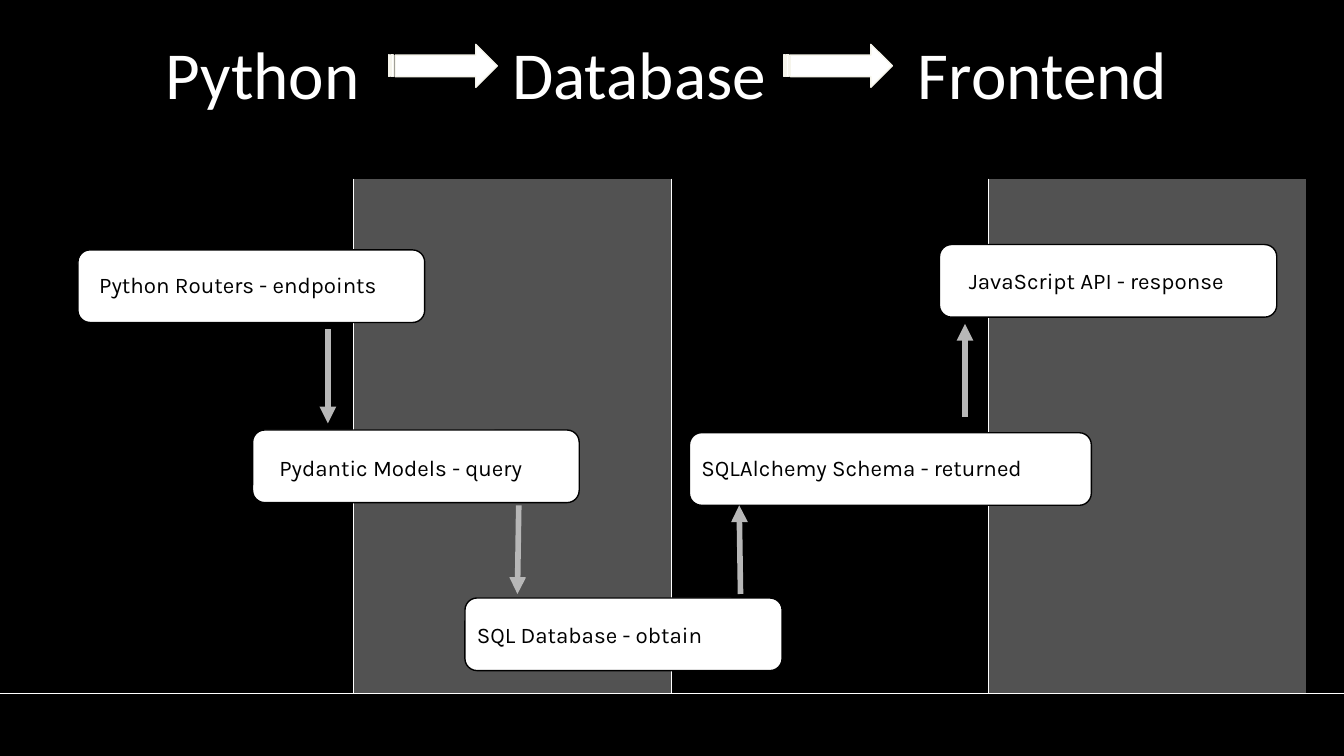
"""Build the Python to Database to Frontend data flow slide."""
from lxml import etree
from pptx import Presentation
from pptx.dml.color import RGBColor
from pptx.enum import shapes, text
from pptx.oxml.ns import qn
from pptx.util import Inches, Pt


def color(hex_value):
    return RGBColor.from_string(hex_value)


def add_line(start, end, hex_value, width):
    line = slide.shapes.add_connector(
        shapes.MSO_CONNECTOR.STRAIGHT, *map(Inches, start + end))
    line.line.color.rgb = color(hex_value)
    line.line.width = Pt(width)
    etree.SubElement(line._element.spPr, qn("a:effectLst"))
    return line


deck = Presentation()
deck.slide_width = Inches(10)
deck.slide_height = Inches(10) * 9 // 16
slide = deck.slides.add_slide(deck.slide_layouts[5])
slide.background.fill.solid()
slide.background.fill.fore_color.rgb = color("000000")

add_line((-0.01, 5.16), (10.01, 5.16), "FFFFFF", 0.75)

title = slide.shapes.title
title.left, title.top = Inches(0.14), Inches(0.14)
title.width, title.height = Inches(9.65), Inches(0.9)
title.text_frame.text = "Python\tDatabase\tFrontend"
title.text_frame.margin_left = Inches(1.09)
title.text_frame.margin_top = Inches(0.1)
title.text_frame.vertical_anchor = text.MSO_ANCHOR.TOP
heading = title.text_frame.paragraphs[0]
heading.alignment = text.PP_ALIGN.LEFT
heading.font.name, heading.font.size = "Calibri", Pt(36)
heading.font.color.rgb = color("FFFFFF")
tab_stops = etree.Element(qn("a:tabLst"))
for position in (2.58, 5.6):
    etree.SubElement(tab_stops, qn("a:tab"), pos=str(Inches(position)), algn="l")
heading._p.get_or_add_pPr().insert(0, tab_stops)

lanes = slide.shapes.add_table(
    1, 4, Inches(0.27), Inches(1.33), Inches(9.45), Inches(3.83)).table
lanes.first_row = lanes.horz_banding = False
for index, lane in enumerate(lanes.rows[0].cells):
    visible = {"lnL": index > 0, "lnR": index < 3, "lnT": False, "lnB": False}
    for side, shown in visible.items():
        border = etree.SubElement(
            lane._tc.get_or_add_tcPr(), qn(f"a:{side}"), w=str(Pt(0.75)))
        if shown:
            border_fill = etree.SubElement(border, qn("a:solidFill"))
            etree.SubElement(border_fill, qn("a:srgbClr"), val="FFFFFF")
        else:
            etree.SubElement(border, qn("a:noFill"))
    if index % 2:
        lane.fill.solid()
        lane.fill.fore_color.rgb = color("525252")
    else:
        lane.fill.background()

steps = [
    ("Python Routers - endpoints", (0.58, 1.86, 2.58), (0.64, 1.92, 2.37)),
    ("SQLAlchemy Schema - returned", (5.13, 3.22, 2.99), (5.12, 3.28, 2.85)),
    ("SQL Database - obtain", (3.46, 4.45, 2.36), (3.45, 4.52, 2.26)),
    ("Pydantic Models - query", (1.88, 3.2, 2.43), (1.98, 3.28, 2.16)),
    ("JavaScript API - response", (6.99, 1.82, 2.51), (7.11, 1.89, 2.19)),
]
for label, card_place, label_place in steps:
    card = slide.shapes.add_shape(
        shapes.MSO_SHAPE.ROUNDED_RECTANGLE, *map(Inches, card_place), Inches(0.54))
    card.shadow.inherit = False
    card.fill.solid()
    card.fill.fore_color.rgb = color("FFFFFF")
    card.line.color.rgb = color("000000")
    card.line.width = Pt(0.75)
    frame = slide.shapes.add_textbox(*map(Inches, label_place), Inches(0.4)).text_frame
    frame.text = label
    frame.word_wrap = True
    frame.margin_left = frame.margin_right = Inches(0.1)
    frame.margin_top = frame.margin_bottom = Inches(0.1)
    caption = frame.paragraphs[0]
    caption.font.name, caption.font.size = "Karla", Pt(12)
    caption.font.color.rgb = color("000000")

flows = [
    ((2.44, 2.45), (2.44, 3.15)),
    ((3.86, 3.76), (3.85, 4.42)),
    ((5.51, 4.42), (5.5, 3.76)),
    ((7.18, 3.1), (7.18, 2.41)),
]
for start, end in flows:
    flow = add_line(start, end, "B7B7B7", 3)
    etree.SubElement(flow.line._get_or_add_ln(), qn("a:tailEnd"), type="triangle")

for left in (2.89, 5.83):
    title_arrow = slide.shapes.add_shape(
        shapes.MSO_SHAPE.STRIPED_RIGHT_ARROW,
        Inches(left), Inches(0.33), Inches(0.81), Inches(0.32))
    title_arrow.shadow.inherit = False
    title_arrow.fill.solid()
    title_arrow.fill.fore_color.rgb = color("FFFFFF")
    title_arrow.line.color.rgb = color("F6F5EC")
    title_arrow.line.width = Pt(0.75)

deck.save("out.pptx")
